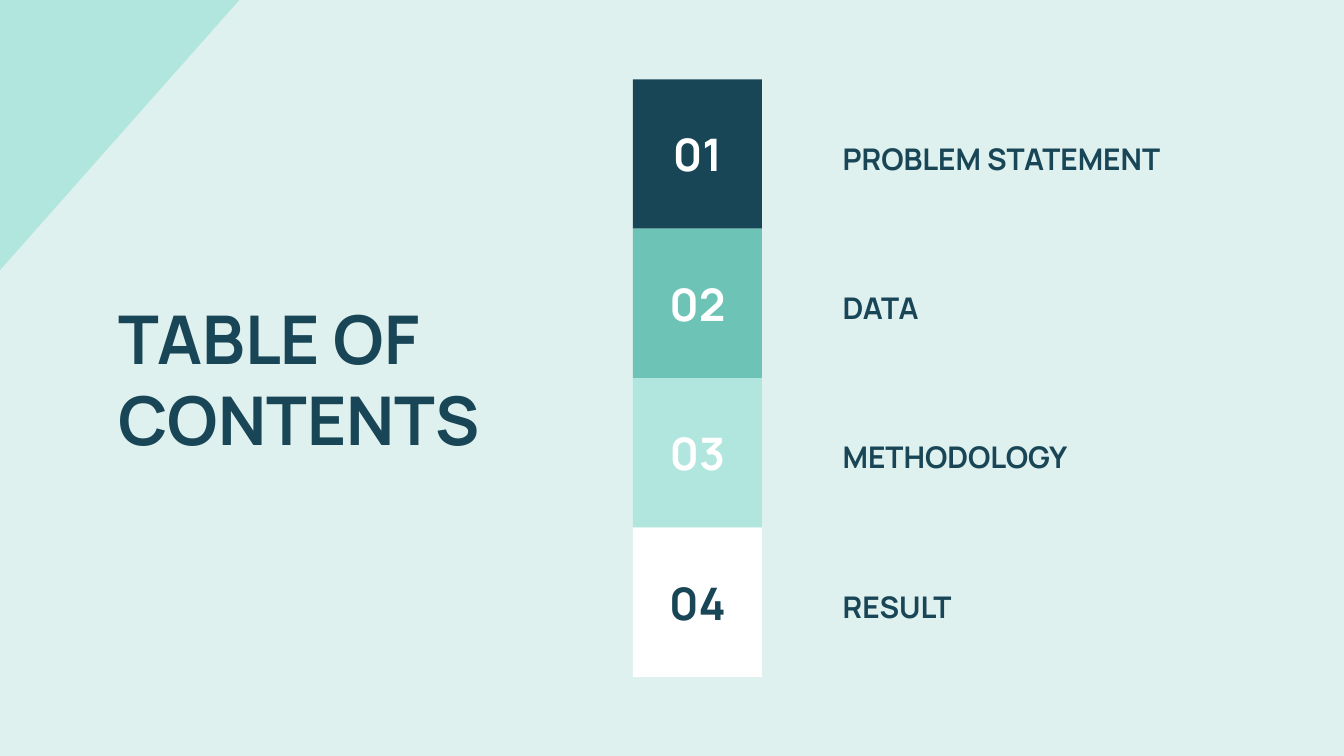
from pptx import Presentation
from pptx.dml.color import RGBColor
from pptx.enum import shapes, text
from pptx.oxml import xmlchemy
from pptx.util import Pt

FONT = "Manrope"
NAVY, TEAL, MINT, WHITE, PALE = "194656", "6CC3B6", "B1E6DE", "FFFFFF", "DFF1EF"
INSET = 7.2
ENTRIES = [
    ("01", "PROBLEM STATEMENT", NAVY, WHITE),
    ("02", "DATA", TEAL, WHITE),
    ("03", "METHODOLOGY", MINT, WHITE),
    ("04", "RESULT", WHITE, NAVY),
]


def paint(fill, colour):
    fill.solid()
    fill.fore_color.rgb = RGBColor.from_string(colour)


def place(shape, left, top, width, height):
    shape.left, shape.top = Pt(left), Pt(top)
    shape.width, shape.height = Pt(width), Pt(height)


def plain(shape, colour):
    paint(shape.fill, colour)
    shape.line.fill.background()
    shape.shadow.inherit = False


def write(shape, words, size, colour=NAVY, align=text.PP_ALIGN.LEFT,
          anchor=text.MSO_ANCHOR.MIDDLE, side=INSET, after=0):
    frame = shape.text_frame
    frame.word_wrap = True
    frame.auto_size = text.MSO_AUTO_SIZE.NONE
    frame.vertical_anchor = anchor
    frame.margin_left = frame.margin_right = Pt(side)
    frame.margin_top = frame.margin_bottom = Pt(INSET)
    para = frame.paragraphs[0]
    para.alignment = align
    para.space_before, para.space_after = Pt(0), Pt(after)
    span = para.add_run()
    span.text = words
    span.font.name, span.font.size, span.font.bold = FONT, Pt(size), True
    span.font.color.rgb = RGBColor.from_string(colour)
    return para


def remove_bullet(para):
    props = para._p.get_or_add_pPr()
    props.set("marL", "0")
    props.set("indent", "0")
    props.append(xmlchemy.OxmlElement("a:buNone"))


def add_corner(page, left, top, width, height):
    builder = page.shapes.build_freeform(Pt(left), Pt(top))
    builder.add_line_segments(
        [(Pt(left), Pt(top + height)), (Pt(left + width), Pt(top))], close=True)
    plain(builder.convert_to_shape(), MINT)


def add_heading(page, left, top, width, height):
    title = page.shapes.title
    place(title, left, top, width, height)
    write(title, "TABLE OF CONTENTS", 36)


def add_contents(page, left, top, width, height):
    step = height / len(ENTRIES)
    tile_width, label_left, label_height = 69.12, 105.12, 28.8
    labels = [box for box in page.placeholders if box.placeholder_format.idx in range(1, 5)]
    for row, (number, label, fill, colour) in enumerate(ENTRIES):
        y = top + row * step
        # Numbered tile
        tile = page.shapes.add_shape(shapes.MSO_SHAPE.RECTANGLE, 0, 0, 0, 0)
        place(tile, left, y, tile_width, step)
        plain(tile, fill)
        write(tile, number, 24, colour, align=text.PP_ALIGN.CENTER, side=0)
        # Section name
        place(labels[row], left + label_left, y + 25.4, width - label_left, label_height)
        remove_bullet(write(labels[row], label, 16, anchor=text.MSO_ANCHOR.TOP, after=8))


def main():
    deck = Presentation()
    deck.slide_width, deck.slide_height = Pt(720), Pt(405)
    # The comparison layout has a title and four body placeholders
    page = deck.slides.add_slide(deck.slide_layouts[4])
    paint(page.background.fill, PALE)
    add_corner(page, 0, 0, 128.2, 144.7)
    add_heading(page, 56.2, 130.3, 247.7, 144.7)
    add_contents(page, 339.1, 42.5, 324.7, 320.2)
    deck.save("out.pptx")


if __name__ == "__main__":
    main()
